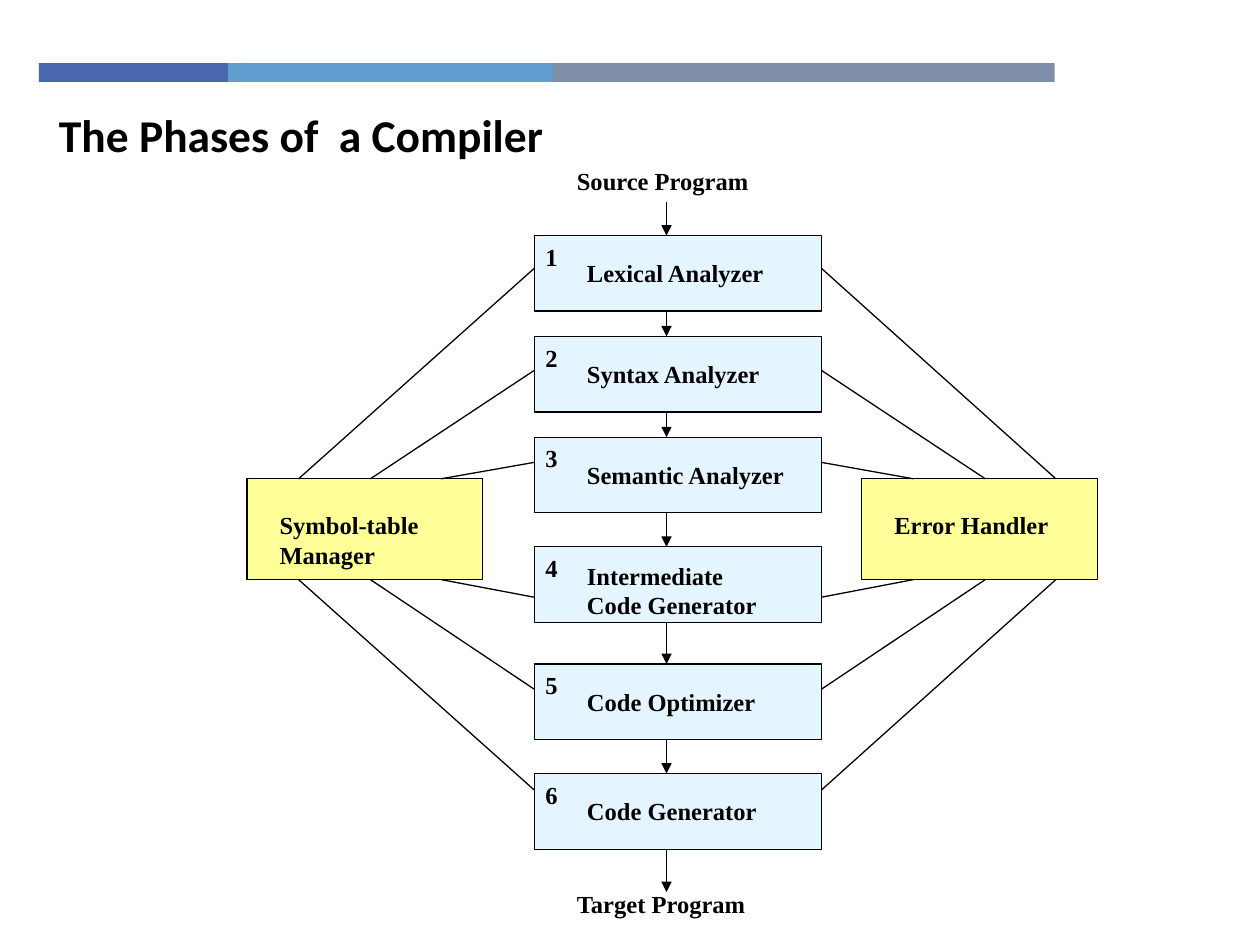
from itertools import pairwise

from lxml import etree
from pptx import Presentation
from pptx.dml.color import RGBColor
from pptx.enum.shapes import MSO_CONNECTOR, MSO_SHAPE
from pptx.oxml.ns import qn
from pptx.util import Inches, Pt

RECTANGLE = MSO_SHAPE.RECTANGLE
STRAIGHT = MSO_CONNECTOR.STRAIGHT

BLACK = RGBColor(0x00, 0x00, 0x00)
PHASE_BLUE = RGBColor(0xCC, 0xEC, 0xFF)
HANDLER_YELLOW = RGBColor(0xFF, 0xFF, 0x99)
BAND_BLUE = RGBColor(0x4A, 0x66, 0xAC)
BAND_SKY = RGBColor(0x62, 0x9D, 0xD1)
BAND_GREY = RGBColor(0x7F, 0x8F, 0xA9)

# Each phase: name, top of its box, height at which the side lines meet it
PHASES = [
    ("Lexical Analyzer", 1.87, 2.13),
    ("Syntax Analyzer", 2.67, 2.94),
    ("Semantic Analyzer", 3.47, 3.67),
    ("Intermediate Code Generator", 4.34, 4.74),
    ("Code Optimizer", 5.27, 5.47),
    ("Code Generator", 6.14, 6.27),
]
PHASE_LEFT, PHASE_WIDTH, PHASE_HEIGHT = 4.24, 2.28, 0.6
PHASE_RIGHT = PHASE_LEFT + PHASE_WIDTH
FLOW_X = 5.29

HANDLER_TOP, HANDLER_WIDTH, HANDLER_HEIGHT = 3.8, 1.87, 0.8
SYMBOL_LEFT, ERROR_LEFT = 1.96, 6.84
PORTS = [0.41, 0.98, 1.54]  # line ends along a handler's edge


def write_text(frame, text, *, font="Times New Roman", size=14, color=BLACK, bold=True):
    frame.word_wrap = True
    span = frame.paragraphs[0].add_run()
    span.text = text
    span.font.name = font
    span.font.size = Pt(size)
    span.font.bold = bold
    span.font.color.rgb = color


class Diagram:
    """Draws the elements of the slide in one style."""

    line_color = BLACK
    line_width = Pt(0.75)

    def __init__(self, page):
        self.page = page

    def rectangle(self, left, top, width, height, fill, outlined=True, opacity=None):
        box = self.page.shapes.add_shape(
            RECTANGLE, Inches(left), Inches(top), Inches(width), Inches(height))
        box.shadow.inherit = False
        box.fill.solid()
        box.fill.fore_color.rgb = fill
        if opacity is not None:
            color = box._element.spPr.find(qn("a:solidFill"))[0]
            etree.SubElement(color, qn("a:alpha"), val=str(opacity * 1000))
        if outlined:
            box.line.color.rgb = self.line_color
            box.line.width = self.line_width
        else:
            box.line.fill.background()

    def label(self, left, top, width, height, text, **style):
        box = self.page.shapes.add_textbox(
            Inches(left), Inches(top), Inches(width), Inches(height))
        write_text(box.text_frame, text, **style)

    def line(self, start, end, arrow=False):
        x1, y1, x2, y2 = (Inches(value) for value in (*start, *end))
        connector = self.page.shapes.add_connector(STRAIGHT, x1, y1, x2, y2)
        connector.line.color.rgb = self.line_color
        connector.line.width = self.line_width
        if arrow:
            outline = connector.line._get_or_add_ln()
            etree.SubElement(outline, qn("a:tailEnd"), type="triangle")
        etree.SubElement(connector._element.spPr, qn("a:effectLst"))

    def phase(self, number, name, top):
        self.rectangle(PHASE_LEFT, top, PHASE_WIDTH, PHASE_HEIGHT, PHASE_BLUE, opacity=50)
        two_lines = name.startswith("Intermediate")
        offset, height = (0.06, 0.57) if two_lines else (0.13, 0.33)
        width = 2.36 if name == "Semantic Analyzer" else 1.71
        self.label(4.56, top + offset, width, height, name)
        self.label(4.23, top, 0.24, 0.33, str(number))

    def handler(self, left, name, height):
        self.rectangle(left, HANDLER_TOP, HANDLER_WIDTH, HANDLER_HEIGHT, HANDLER_YELLOW)
        self.label(left + 0.16, HANDLER_TOP + 0.2, 1.55, height, name)


def main():
    deck = Presentation()
    deck.slide_width, deck.slide_height = Inches(10), Inches(7.5)
    diagram = Diagram(deck.slides.add_slide(deck.slide_layouts[6]))

    # Colour band and title
    band_left = 0.31
    for width, color in ((1.5, BAND_BLUE), (2.58, BAND_SKY), (3.98, BAND_GREY)):
        diagram.rectangle(band_left, 0.5, width, 0.15, color, outlined=False)
        band_left += width
    diagram.label(0.37, 0.8, 7.16, 0.54, "The Phases of  a Compiler", font="Calibri", size=26)

    # Phases between source and target
    diagram.label(4.48, 1.27, 2.19, 0.33, "Source Program")
    for number, (name, top, _) in enumerate(PHASES, start=1):
        diagram.phase(number, name, top)
    diagram.label(4.48, 7.01, 2.19, 0.33, "Target Program")

    # Flow arrows, from each bottom edge to the next top edge
    tops = [1.6 - PHASE_HEIGHT, *(top for _, top, _ in PHASES), 7.08]
    for top, next_top in pairwise(tops):
        diagram.line((FLOW_X, top + PHASE_HEIGHT), (FLOW_X, next_top), arrow=True)

    # Handlers on both sides
    diagram.handler(SYMBOL_LEFT, "Symbol-table Manager", 0.57)
    diagram.handler(ERROR_LEFT, "Error Handler", 0.33)

    # Lines from every phase to both handlers
    symbol_ports = PORTS + PORTS[::-1]
    error_ports = PORTS[::-1] + PORTS
    for (_, _, meet_y), symbol_port, error_port in zip(PHASES, symbol_ports, error_ports):
        above = meet_y < HANDLER_TOP
        edge_y = HANDLER_TOP if above else HANDLER_TOP + HANDLER_HEIGHT
        diagram.line((PHASE_LEFT, meet_y), (SYMBOL_LEFT + symbol_port, edge_y))
        diagram.line((PHASE_RIGHT, meet_y), (ERROR_LEFT + error_port, edge_y))

    deck.save("out.pptx")


if __name__ == "__main__":
    main()
